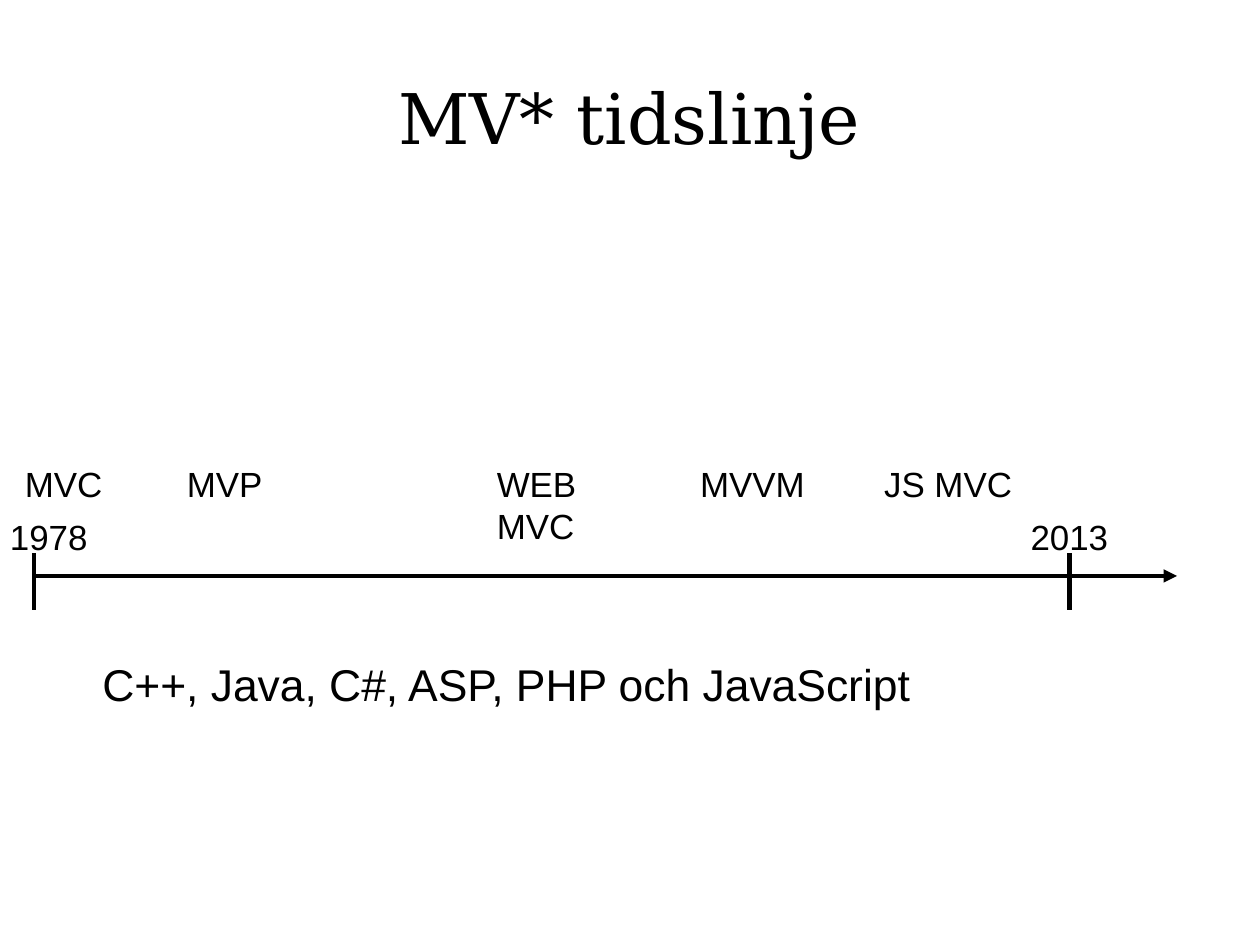
import dataclasses

import pptx
import pptx.dml.color
import pptx.enum.shapes
import pptx.enum.text
import pptx.oxml.ns
import pptx.slide
import pptx.util
from lxml import etree

PX = 3175  # EMU per px, 288 px to the inch


@dataclasses.dataclass(frozen=True)
class Theme:
    ink: pptx.dml.color.RGBColor = pptx.dml.color.RGBColor(0, 0, 0)
    serif: str = "DejaVu Serif"
    sans: str = "Arial"
    title: int = 44
    body: int = 28
    label: int = 22
    stroke: float = 2.83


THEME = Theme()


@dataclasses.dataclass(frozen=True)
class Label:
    text: str
    left: int
    top: int
    width: int = 432
    height: int = 127
    size: int = THEME.label
    font: str = THEME.sans
    pad: tuple[int, int] = (28, 14)
    align: pptx.enum.text.PP_ALIGN = pptx.enum.text.PP_ALIGN.LEFT
    anchor: pptx.enum.text.MSO_ANCHOR = pptx.enum.text.MSO_ANCHOR.TOP


@dataclasses.dataclass(frozen=True)
class Line:
    start: tuple[int, int]
    end: tuple[int, int]
    arrow: bool = False


WIDTH, HEIGHT = 3175, 2381
START, NOW, TIP = 86, 2695, 2966
AXIS, ABOVE, BELOW = 1451, 57, 87
YEARS, NAMES = 1284, 1151

TITLE = Label("MV* tidslinje", 158, 95, 2857, 397, THEME.title, THEME.serif, (0, 0),
              pptx.enum.text.PP_ALIGN.CENTER, pptx.enum.text.MSO_ANCHOR.MIDDLE)
LINES = [Line((START, AXIS), (TIP, AXIS), arrow=True)] + [
    Line((x, AXIS - ABOVE), (x, AXIS + BELOW)) for x in (START, NOW)
]
LABELS = [
    Label("2013", 2569, YEARS, 369),
    Label("1978", -3, YEARS, 406),
    Label("JS MVC", 2200, NAMES),
    Label("MVVM", 1736, NAMES),
    Label("MVC", 35, NAMES),
    Label("MVP", 443, NAMES),
    Label("WEB MVC", 1224, NAMES, height=225),
    Label("C++, Java, C#, ASP, PHP och JavaScript", 230, 1641, 2678, 153, THEME.body),
]


def assign(target: object, values: dict[str, object]) -> None:
    for name, value in values.items():
        setattr(target, name, value)


def write(slide: pptx.slide.Slide, label: Label) -> None:
    box = slide.shapes.add_textbox(
        *(n * PX for n in (label.left, label.top, label.width, label.height)))
    across, down = (n * PX for n in label.pad)
    assign(box.text_frame, {
        "word_wrap": True,
        "vertical_anchor": label.anchor,
        "margin_left": across, "margin_right": across,
        "margin_top": down, "margin_bottom": down,
    })
    para = box.text_frame.paragraphs[0]
    para.alignment = label.align
    run = para.add_run()
    run.text = label.text
    assign(run.font, {"name": label.font, "size": pptx.util.Pt(label.size)})
    run.font.color.rgb = THEME.ink


def draw(slide: pptx.slide.Slide, line: Line) -> None:
    shape = slide.shapes.add_connector(
        pptx.enum.shapes.MSO_CONNECTOR.STRAIGHT,
        *(n * PX for n in line.start + line.end))
    shape.line.width = pptx.util.Pt(THEME.stroke)
    shape.line.color.rgb = THEME.ink
    props = shape._element.spPr
    if line.arrow:
        etree.SubElement(props.find(pptx.oxml.ns.qn("a:ln")),
                         pptx.oxml.ns.qn("a:tailEnd"), type="triangle")
    etree.SubElement(props, pptx.oxml.ns.qn("a:effectLst"))


def main() -> None:
    deck = pptx.Presentation()
    assign(deck, {"slide_width": WIDTH * PX, "slide_height": HEIGHT * PX})
    slide = deck.slides.add_slide(deck.slide_layouts[6])
    write(slide, TITLE)
    for line in LINES:
        draw(slide, line)
    for label in LABELS:
        write(slide, label)
    deck.save("out.pptx")


if __name__ == "__main__":
    main()
